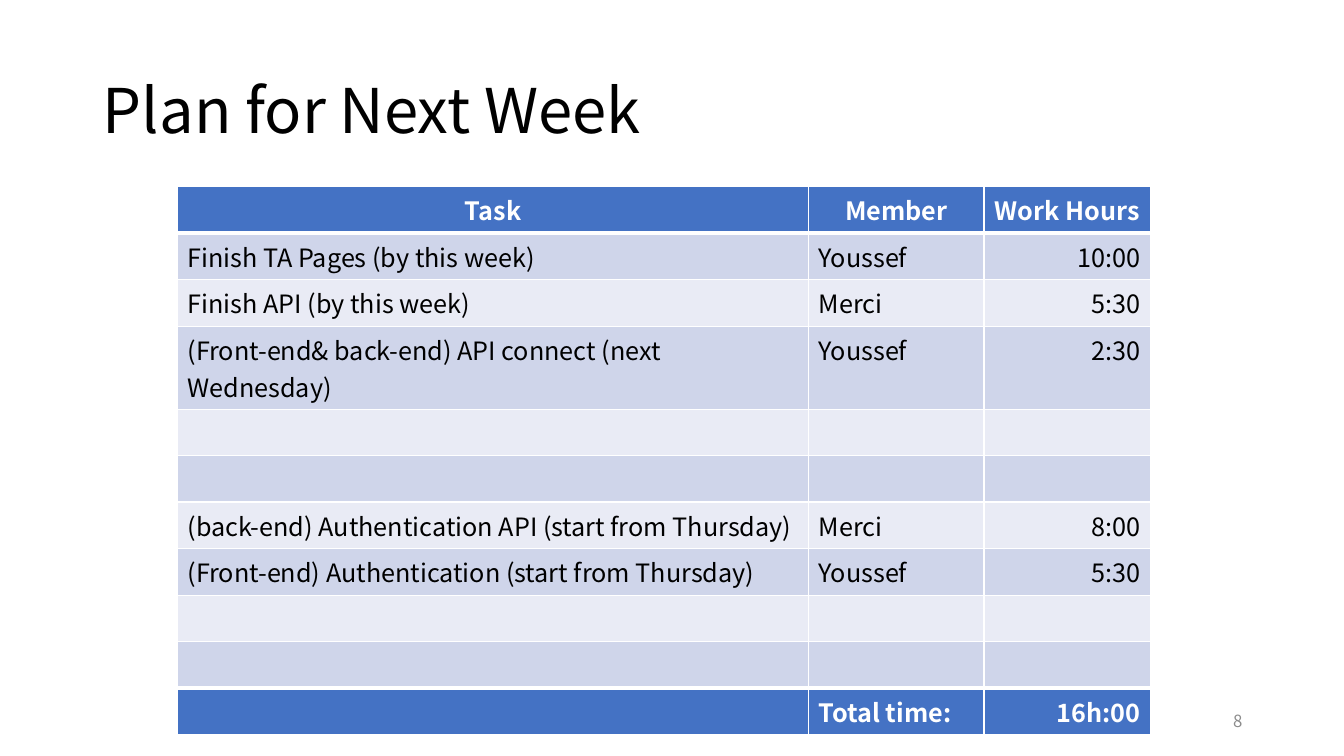
from lxml import etree
from pptx import Presentation
from pptx.dml.color import RGBColor
from pptx.enum.text import MSO_ANCHOR as Anchor, PP_ALIGN as Align
from pptx.oxml.ns import qn
from pptx.util import Inches, Pt

FONT = "Noto Sans CJK JP"
COLORS = {
    "text": "000000",
    "white": "FFFFFF",
    "accent": "4472C4",
    "band_dark": "CFD5EA",
    "band_light": "E9EBF5",
    "number": "8C8C8C",
}
EMPTY = ("", "", "")
PLAN = [
    ("Task", "Member", "Work Hours"),
    ("Finish TA Pages (by this week)", "Youssef", "10:00"),
    ("Finish API (by this week)", "Merci", "5:30"),
    ("(Front-end& back-end) API connect (next Wednesday)", "Youssef", "2:30"),
    EMPTY,
    EMPTY,
    ("(back-end) Authentication API (start from Thursday)", "Merci", "8:00"),
    ("(Front-end) Authentication (start from Thursday)", "Youssef", "5:30"),
    EMPTY,
    EMPTY,
    ("", "Total time:", "16h:00"),
]
COLUMN_WIDTHS = (6.26, 1.74, 1.65)
COLUMN_ALIGNS = (Align.LEFT, Align.LEFT, Align.RIGHT)
ROW_HEIGHT, WRAPPED_HEIGHT, WRAPPED_ROW = 0.46, 0.82, 3
LAST = len(PLAN) - 1


def color(name):
    return RGBColor.from_string(COLORS[name])


def write(text_frame, text, size, color_name, align=Align.LEFT, bold=False):
    text_frame.text = text
    paragraph = text_frame.paragraphs[0]
    paragraph.alignment = align
    for run in paragraph.runs:
        run.font.name = FONT
        run.font.size = Pt(size)
        run.font.bold = bold
        run.font.color.rgb = color(color_name)
    return paragraph


def set_borders(cell, top, bottom):
    properties = cell._tc.get_or_add_tcPr()
    for side, width in (("L", 1), ("R", 1), ("T", top), ("B", bottom)):
        line = etree.SubElement(properties, qn(f"a:ln{side}"), w=str(Pt(width)))
        fill = etree.SubElement(line, qn("a:solidFill"))
        etree.SubElement(fill, qn("a:srgbClr"), val=COLORS["white"])


def add_title(slide, text):
    title = slide.shapes.title
    title.left, title.top = Inches(0.92), Inches(0.4)
    title.width, title.height = Inches(11.5), Inches(1.45)
    title.text_frame.vertical_anchor = Anchor.MIDDLE
    write(title.text_frame, text, 44, "text").line_spacing = 0.9


def fill_cell(cell, text, row, column):
    # The header and total rows stand out; the rows between are banded
    strong = row in (0, LAST)
    band = "band_dark" if row % 2 else "band_light"
    align = Align.CENTER if row == 0 else COLUMN_ALIGNS[column]
    set_borders(cell, 3 if row in (1, LAST) else 1, 3 if row in (0, LAST - 1) else 1)
    cell.fill.solid()
    cell.fill.fore_color.rgb = color("accent" if strong else band)
    write(cell.text_frame, text, 18, "white" if strong else "text", align, strong)


def add_plan_table(slide):
    frame = slide.shapes.add_table(
        len(PLAN), len(COLUMN_WIDTHS), Inches(1.76), Inches(1.85),
        Inches(sum(COLUMN_WIDTHS)), Inches(LAST * ROW_HEIGHT + WRAPPED_HEIGHT))
    table = frame.table
    for column, width in zip(table.columns, COLUMN_WIDTHS):
        column.width = Inches(width)
    for row, texts in enumerate(PLAN):
        height = WRAPPED_HEIGHT if row == WRAPPED_ROW else ROW_HEIGHT
        table.rows[row].height = Inches(height)
        for column, text in enumerate(texts):
            fill_cell(table.cell(row, column), text, row, column)


def add_slide_number(slide, number):
    box = slide.shapes.add_textbox(Inches(9.42), Inches(6.95), Inches(3), Inches(0.4))
    box.text_frame.word_wrap = True
    box.text_frame.vertical_anchor = Anchor.MIDDLE
    write(box.text_frame, number, 12, "number", Align.RIGHT)


def main():
    presentation = Presentation()
    presentation.slide_width = Inches(13.33)
    presentation.slide_height = Inches(7.5)
    slide = presentation.slides.add_slide(presentation.slide_layouts[5])

    add_title(slide, "Plan for Next Week")
    add_plan_table(slide)
    add_slide_number(slide, "8")

    presentation.save("out.pptx")


if __name__ == "__main__":
    main()
